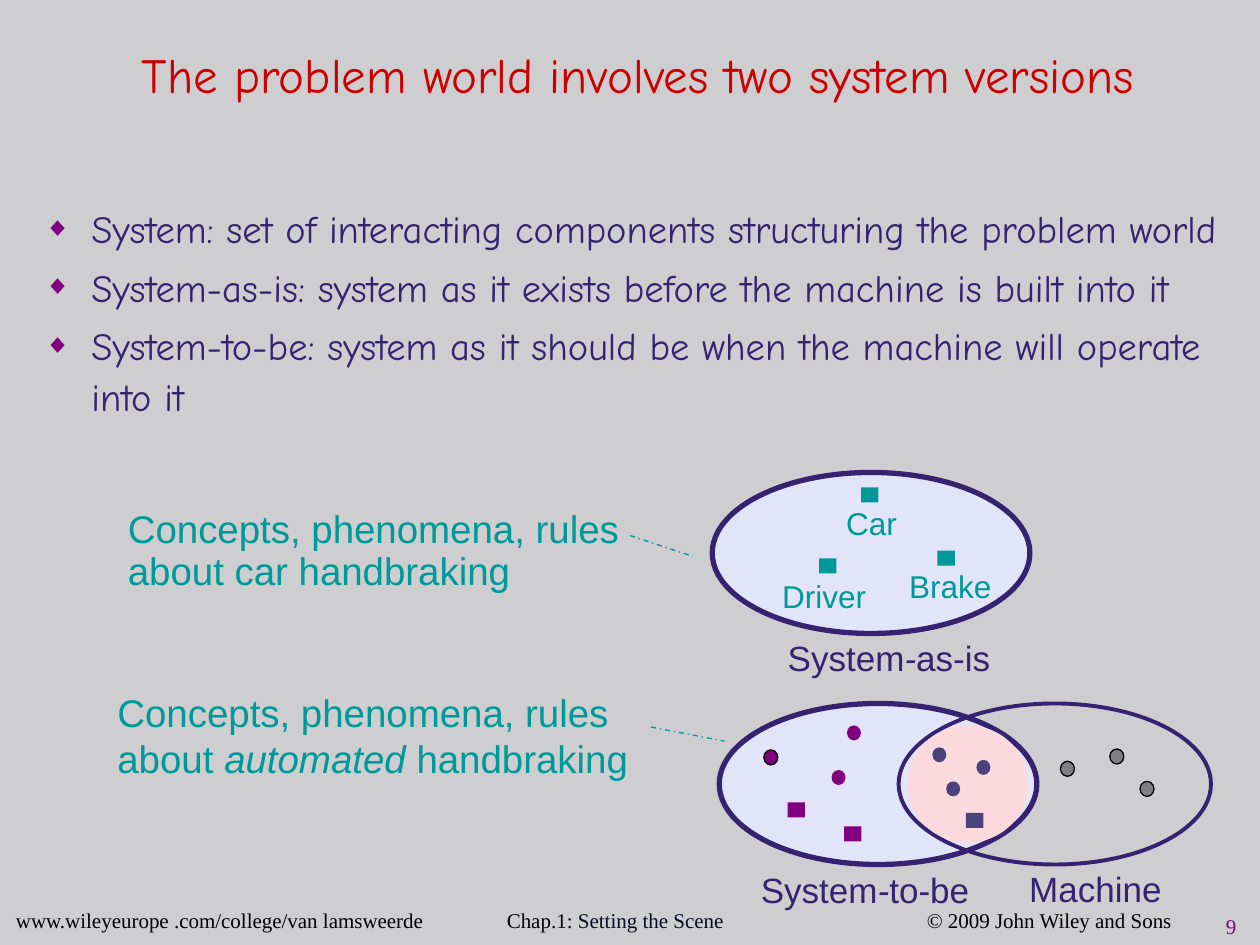
"""Build the slide on the two versions of a system."""
from lxml import etree
from pptx import Presentation
from pptx.dml.color import RGBColor
from pptx.enum.dml import MSO_LINE
from pptx.enum.shapes import MSO_CONNECTOR, MSO_SHAPE
from pptx.enum.text import MSO_ANCHOR, MSO_AUTO_SIZE, PP_ALIGN
from pptx.oxml.ns import qn
from pptx.util import Pt

OVAL, RECT = MSO_SHAPE.OVAL, MSO_SHAPE.RECTANGLE
LINE, DASH = MSO_CONNECTOR.STRAIGHT, MSO_LINE.DASH_DOT
LEFT, MID, RIGHT = PP_ALIGN.LEFT, PP_ALIGN.CENTER, PP_ALIGN.RIGHT
MIDDLE, FIXED = MSO_ANCHOR.MIDDLE, MSO_AUTO_SIZE.NONE
GREY = RGBColor(0xCE, 0xCE, 0xD0)
RED = RGBColor(0xCC, 0x00, 0x00)
NAVY = RGBColor(0x35, 0x22, 0x70)
TEAL = RGBColor(0x00, 0x99, 0x99)
PURPLE = RGBColor(0x80, 0x00, 0x80)
PALE = RGBColor(0xE2, 0xE5, 0xFA)
PINK = RGBColor(0xFB, 0xD9, 0xDC)
SLATE = RGBColor(0x4A, 0x42, 0x7C)
STONE = RGBColor(0x80, 0x80, 0x80)
BLACK = RGBColor(0x00, 0x00, 0x00)
INK = RGBColor(0x07, 0x0B, 0x26)
COMIC, SANS, SERIF = "Comic Neue", "Arial", "Times New Roman"


def write(para, text, size, color, face=SANS, slant=None):
    run = para.add_run()
    run.text = text
    run.font.size = Pt(size)
    run.font.name = face
    run.font.color.rgb = color
    run.font.italic = slant


def draw(kind, box, fill=None, edge=None, width=0.75):
    shape = slide.shapes.add_shape(kind, *map(Pt, box))
    shape.shadow.inherit = False
    if fill is None:
        shape.fill.background()
    else:
        shape.fill.solid()
        shape.fill.fore_color.rgb = fill
    if edge is None:
        shape.line.fill.background()
    else:
        shape.line.color.rgb = edge
        shape.line.width = Pt(width)


deck = Presentation()
deck.slide_width, deck.slide_height = Pt(720), Pt(540)
slide = deck.slides.add_slide(deck.slide_layouts[1])
slide.background.fill.solid()
slide.background.fill.fore_color.rgb = GREY

title, body = slide.placeholders
for holder, box in ((title, (24, 12, 681, 60)), (body, (18, 60, 689, 234))):
    holder.left, holder.top, holder.width, holder.height = map(Pt, box)
    holder.text_frame.vertical_anchor = MIDDLE
    holder.text_frame.auto_size = FIXED
head = title.text_frame.paragraphs[0]
head.alignment = MID
write(head, "The problem world involves two system versions", 28, RED, COMIC)

points = (
    "System: set of interacting components structuring the problem world",
    "System-as-is: system as it exists before the machine is built into it",
    "System-to-be: system as it should be when the machine will operate into it",
)
for i, point in enumerate(points):
    para = body.text_frame.add_paragraph() if i else body.text_frame.paragraphs[0]
    para.line_spacing = 1.1
    para.space_before = Pt(4.4 if i else 0)
    props = para._p.get_or_add_pPr()
    props.set("marL", str(Pt(27)))
    props.set("indent", str(Pt(-27)))
    tint = etree.SubElement(props, qn("a:buClr"))
    etree.SubElement(tint, qn("a:srgbClr"), val=str(PURPLE))
    etree.SubElement(props, qn("a:buSzPct"), val="70000")
    etree.SubElement(props, qn("a:buChar"), char="◆")
    write(para, point, 22, NAVY, COMIC)

draw(OVAL, (407, 270, 181.5, 92), PALE, NAVY, 3)
draw(OVAL, (411, 402, 181.5, 92), PALE, NAVY, 3)
draw(OVAL, (513.5, 402, 178.5, 92), None, NAVY, 2.25)
draw(OVAL, (518.5, 414.5, 69, 67), PINK)

marks = (
    (OVAL, 8, PURPLE, None, ((484, 414.5), (475.2, 440))),
    (OVAL, 8, PURPLE, BLACK, ((436.5, 428.5),)),
    (OVAL, 8, STONE, BLACK, ((606, 435), (634.2, 428), (651.5, 446.5))),
    (OVAL, 8, SLATE, None, ((532.8, 427), (540.7, 446.5), (558, 434.2))),
    (RECT, 10, PURPLE, None, ((450, 458.5), (482.3, 472.2))),
    (RECT, 10, SLATE, None, ((552, 464.5),)),
    (RECT, 10, TEAL, None, ((468, 319), (492, 278.5), (535.7, 314.6))),
)
for kind, width, fill, edge, spots in marks:
    for left, top in spots:
        draw(kind, (left, top, width, 8.6), fill, edge)

labels = (
    ((443, 360, 157, 37), LEFT, 1, 20, NAVY, SANS, ("System", "-", "as-is")),
    ((427.7, 493, 160.6, 37), LEFT, 1, 20, NAVY, SANS, ("System", "-", "to-be")),
    ((581, 492, 115, 29.5), LEFT, 1, 20, NAVY, SANS, ("Machine",)),
    ((66, 288, 316, 60), LEFT, 0.9, 22, TEAL, SANS,
     ("Concepts, phenomena, rules about car handbraking",)),
    ((60, 390, 339, 66), LEFT, 1, 22, TEAL, SANS,
     ("Concepts, phenomena, rules about ", "automated", " handbraking")),
    ((474, 284.5, 48, 30), MID, 1, 18, TEAL, SANS, ("Car",)),
    ((438, 326, 66, 30), MID, 1, 18, TEAL, SANS, ("Driver",)),
    ((510, 320.5, 66, 30), MID, 1, 18, TEAL, SANS, ("Brake",)),
    ((671.8, 515.5, 41.8, 24.5), RIGHT, 1.2, 12, PURPLE, SERIF, ("9",)),
)
for box, align, space, size, color, face, parts in labels:
    frame = slide.shapes.add_textbox(*map(Pt, box)).text_frame
    frame.word_wrap = True
    para = frame.paragraphs[0]
    para.alignment = align
    para.line_spacing = float(space)
    for i, part in enumerate(parts):
        write(para, part, size, color, face, i == 1)

for ends in ((360, 306, 396, 318), (372, 415.5, 414, 423.5)):
    link = slide.shapes.add_connector(LINE, *map(Pt, ends))
    link.line.color.rgb = TEAL
    link.line.width = Pt(0.75)
    link.line.dash_style = DASH
    etree.SubElement(link._element.spPr, qn("a:effectLst"))

foot = slide.shapes.add_textbox(Pt(2), Pt(519), Pt(718), Pt(18)).text_frame
foot.word_wrap = True
para = foot.paragraphs[0]
para.line_spacing = 0.7
tabs = etree.SubElement(para._p.get_or_add_pPr(), qn("a:tabLst"))
for stop in (280.5, 520.5):
    etree.SubElement(tabs, qn("a:tab"), pos=str(Pt(stop)), algn="l")
for part, color in (
    ("www.wileyeurope .com/college/van lamsweerde\tChap.1: ", BLACK),
    ("Setting the Scene\t", INK),
    ("© 2009 John Wiley and Sons", BLACK),
):
    write(para, part, 12, color, SERIF)

deck.save("out.pptx")
